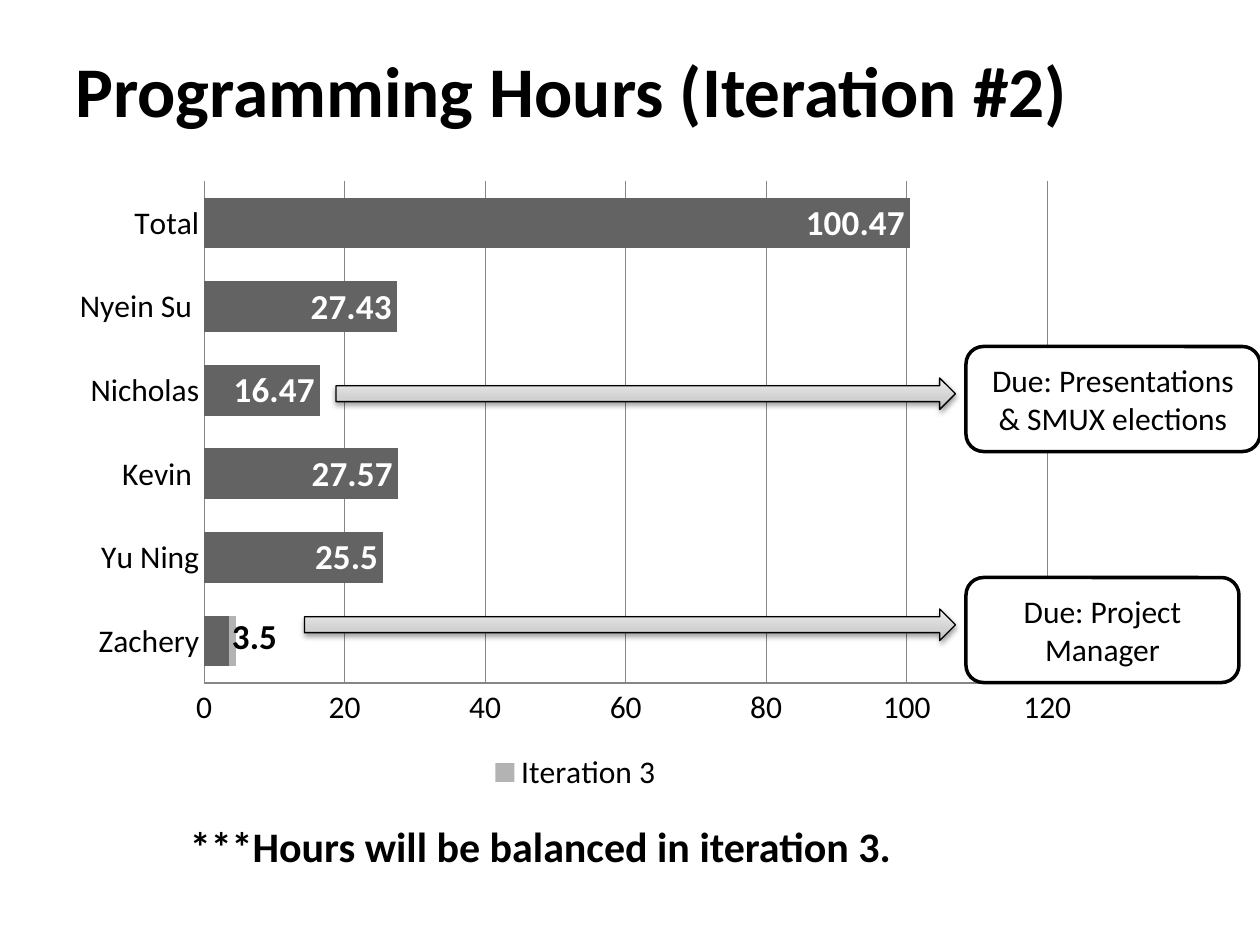
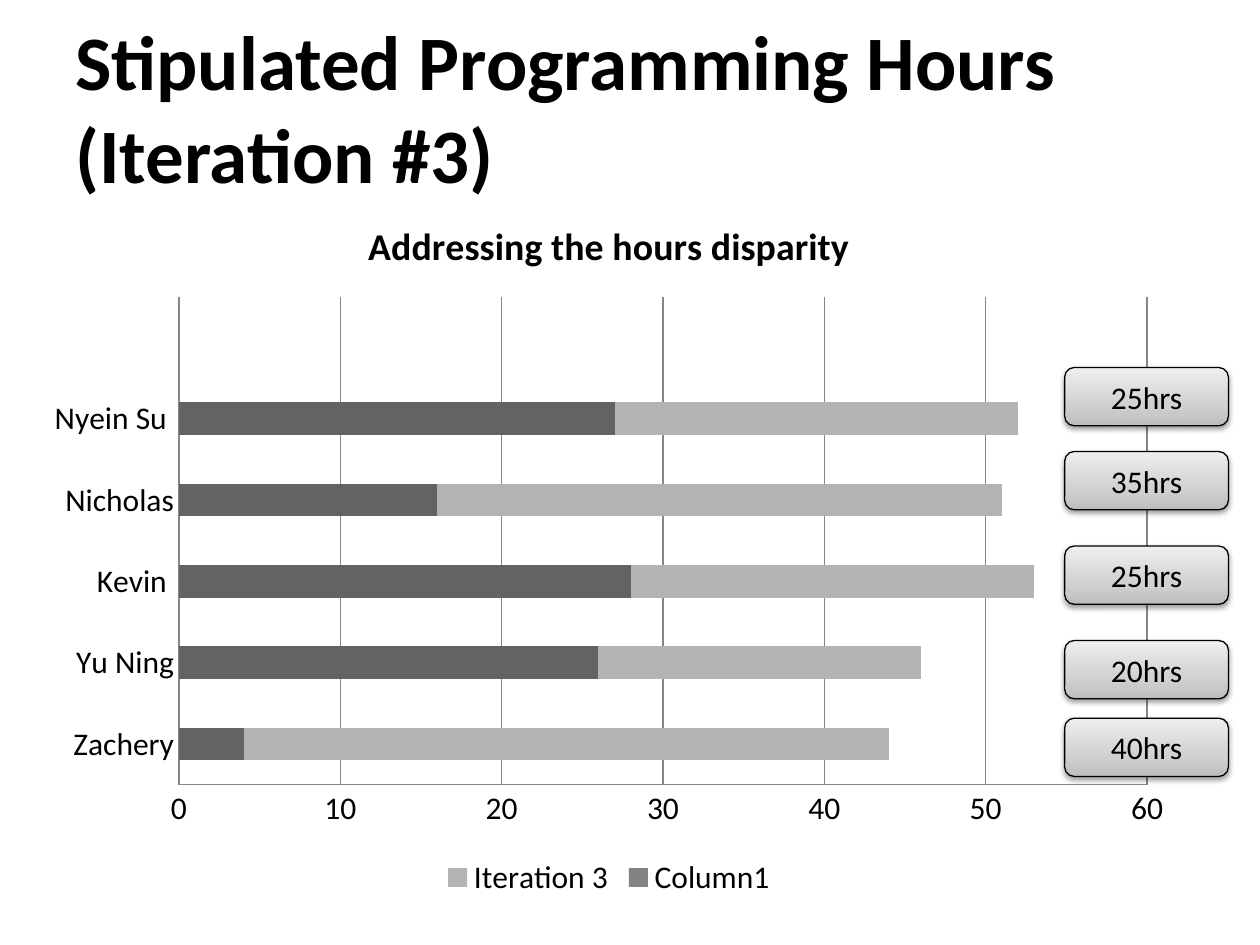
from copy import deepcopy
from dataclasses import dataclass

from pptx import Presentation
from pptx.chart.data import CategoryChartData
from pptx.dml.color import RGBColor
from pptx.enum.chart import XL_CHART_TYPE, XL_LABEL_POSITION, XL_LEGEND_POSITION, XL_TICK_MARK
from pptx.enum.shapes import MSO_SHAPE
from pptx.enum.text import MSO_ANCHOR, PP_ALIGN
from pptx.oxml import parse_xml
from pptx.oxml.ns import nsdecls, qn
from pptx.util import Inches, Pt


@dataclass(frozen=True)
class Theme:
    font: str = "Calibri"
    text: RGBColor = RGBColor(0, 0, 0)
    paper: RGBColor = RGBColor(255, 255, 255)
    grid: RGBColor = RGBColor.from_string("868686")
    bars: tuple = ("636363", "B3B3B3", "838383")
    gloss: tuple = ((0, "BDBDBD"), (0.35, "D1D1D1"), (1, "EEEEEE"))
    body: float = 18
    bar_label: float = 20
    chart_title: float = 21.6
    note: float = 24


theme = Theme()
presentation = Presentation()
presentation.slide_width, presentation.slide_height = Inches(10), Inches(7.5)
COLUMNS, ROWS = 120, 90


def cells(left, top, width, height):
    """Turn grid columns and rows into a position and size on the slide."""
    column = presentation.slide_width / COLUMNS
    row = presentation.slide_height / ROWS
    return int(left * column), int(top * row), int(width * column), int(height * row)


def write(shape, text, size, bold=False, alignment=PP_ALIGN.CENTER):
    shape.text_frame.text = text
    shape.text_frame.word_wrap = True
    shape.text_frame.vertical_anchor = MSO_ANCHOR.MIDDLE
    for paragraph in shape.text_frame.paragraphs:
        paragraph.alignment = alignment
        for run in paragraph.runs:
            run.font.name, run.font.size, run.font.bold = theme.font, Pt(size), bold
            run.font.color.rgb = theme.text


people = ["Zachery", "Yu Ning", "Kevin ", "Nicholas", "Nyein Su "]
hours = [3.5, 25.5, 27.57, 16.47, 27.43]
whole_hours = [round(value) for value in hours]
planned_hours = [40, 20, 25, 35, 25]

pages = [
    dict(title="Programming Hours (Iteration #2)", title_size=40.7, title_top=1,
         chart_cells=(5.6, 16, 98.4, 60), plot_cells=(19.45, 17.25, 80.3, 47.8),
         chart_title=None, categories=people + ["Total"],
         series=[("Programming Hours", hours + [100.47]),
                 ("Iteration 3", [1] + [None] * 5)],
         gap=65, maximum=120, step=20),
    dict(title="Stipulated Programming Hours\v(Iteration #3)", title_size=44, title_top=2.6,
         chart_cells=(3, 18.2, 110, 67.8), plot_cells=(17.05, 28.25, 92.2, 46.5),
         chart_title="Addressing the hours disparity", categories=people + [""],
         series=[("Iteration 2", whole_hours + [None]),
                 ("Iteration 3", planned_hours + [None]),
                 ("Column1", [None] * 6)],
         gap=150, maximum=60, step=10),
]

# Titles and stacked bar charts
slides, charts = [], []
for page in pages:
    slide = presentation.slides.add_slide(presentation.slide_layouts[6])
    title = slide.shapes.add_textbox(*cells(6, page["title_top"], 108, 15))
    write(title, page["title"], page["title_size"], True, PP_ALIGN.LEFT)

    chart_data = CategoryChartData()
    chart_data.categories = page["categories"]
    for name, values in page["series"]:
        chart_data.add_series(name, values)
    chart = slide.shapes.add_chart(
        XL_CHART_TYPE.BAR_STACKED, *cells(*page["chart_cells"]), chart_data).chart
    chart.font.name, chart.font.size = theme.font, Pt(theme.body)
    chart.font.color.rgb = theme.text

    chart.has_title = page["chart_title"] is not None
    if chart.has_title:
        chart.chart_title.text_frame.text = page["chart_title"]
        chart.chart_title.include_in_layout = False
        title_font = chart.chart_title.text_frame.paragraphs[0].runs[0].font
        title_font.name, title_font.size, title_font.bold = theme.font, Pt(theme.chart_title), True
        title_font.color.rgb = theme.text

    plot = chart.plots[0]
    plot.gap_width, plot.overlap, plot.vary_by_categories = page["gap"], 100, False
    for series, color in zip(plot.series, theme.bars):
        series.format.fill.solid()
        series.format.fill.fore_color.rgb = RGBColor.from_string(color)

    value_axis = chart.value_axis
    value_axis.minimum_scale, value_axis.maximum_scale = 0, page["maximum"]
    value_axis.major_unit = page["step"]
    value_axis.has_major_gridlines = True
    value_axis.major_gridlines.format.line.color.rgb = theme.grid
    for axis in (value_axis, chart.category_axis):
        axis.major_tick_mark = axis.minor_tick_mark = XL_TICK_MARK.NONE
        axis.format.line.color.rgb = theme.grid

    chart.has_legend = True
    chart.legend.position = XL_LEGEND_POSITION.BOTTOM
    chart.legend.include_in_layout = False
    hidden_entry = len(page["series"]) - 1
    chart.legend._element.insert(1, parse_xml(
        f'<c:legendEntry {nsdecls("c")}><c:idx val="{hidden_entry}"/>'
        '<c:delete val="1"/></c:legendEntry>'))

    # The plot's place is stored as shares of the chart's frame
    plot_area = chart._chartSpace.find(f'.//{qn("c:plotArea")}')
    for layout in plot_area.findall(qn("c:layout")):
        plot_area.remove(layout)
    chart_left, chart_top, chart_width, chart_height = page["chart_cells"]
    plot_left, plot_top, plot_width, plot_height = page["plot_cells"]
    plot_area.insert(0, parse_xml(
        f'<c:layout {nsdecls("c")}><c:manualLayout><c:layoutTarget val="inner"/>'
        '<c:xMode val="edge"/><c:yMode val="edge"/>'
        f'<c:x val="{(plot_left - chart_left) / chart_width}"/>'
        f'<c:y val="{(plot_top - chart_top) / chart_height}"/>'
        f'<c:w val="{plot_width / chart_width}"/><c:h val="{plot_height / chart_height}"/>'
        '</c:manualLayout></c:layout>'))
    slides.append(slide)
    charts.append(chart)

# Hours inside the bars; the shortest bar has its label beside it
hours_series = charts[0].plots[0].series[0]
bar_labels = hours_series.data_labels
bar_labels.show_value = True
short_bar_label = hours_series.points[0].data_label
for label, color in ((bar_labels, theme.paper), (short_bar_label, theme.text)):
    label.position = XL_LABEL_POSITION.INSIDE_END
    label.font.name, label.font.size, label.font.bold = theme.font, Pt(theme.bar_label), True
    label.font.color.rgb = color
chart_width, chart_height = pages[0]["chart_cells"][2:]
short_bar_element = bar_labels._element.find(qn("c:dLbl"))
short_bar_element.insert(1, parse_xml(
    f'<c:layout {nsdecls("c")}><c:manualLayout><c:x val="{5.1 / chart_width}"/>'
    f'<c:y val="{-0.35 / chart_height}"/></c:manualLayout></c:layout>'))

# Reasons for the short bars: an arrow leading to a callout
glossy_shapes = []
arrow_end, callout_left = 91, 92
for reason, arrow_left, callout_top, callout_width in (
        ("Due: Presentations & SMUX elections", 32, 33, 28),
        ("Due: Project Manager", 29, 55, 26)):
    arrow = slides[0].shapes.add_shape(
        MSO_SHAPE.RIGHT_ARROW,
        *cells(arrow_left, callout_top + 3, arrow_end - arrow_left, 3))
    glossy_shapes.append(arrow)
    callout = slides[0].shapes.add_shape(
        MSO_SHAPE.FLOWCHART_ALTERNATE_PROCESS,
        *cells(callout_left, callout_top, callout_width, 10))
    callout.shadow.inherit = False
    callout.fill.solid()
    callout.fill.fore_color.rgb = theme.paper
    callout.line.color.rgb, callout.line.width = theme.text, Pt(2)
    write(callout, reason, theme.body)

note = slides[0].shapes.add_shape(MSO_SHAPE.ROUNDED_RECTANGLE, *cells(10, 76, 83, 9))
note.shadow.inherit = False
note.fill.solid()
note.fill.fore_color.rgb = theme.paper
note.line.fill.background()
write(note, "***Hours will be balanced in iteration 3.", theme.note, True)

# Planned hours beside each bar, from the top bar down
for tag_top, planned in zip((35, 43, 52, 61, 68.4), reversed(planned_hours)):
    tag = slides[1].shapes.add_shape(
        MSO_SHAPE.ROUNDED_RECTANGLE, *cells(101.4, tag_top, 15.6, 5.55))
    write(tag, f"{planned}hrs", theme.body)
    glossy_shapes.append(tag)

for shape in glossy_shapes:
    shape.fill.gradient()
    shape.fill.gradient_angle = 90
    stop_list = shape._element.spPr.find(f'.//{qn("a:gsLst")}')
    stop_list.append(deepcopy(stop_list[-1]))
    for stop, (position, color) in zip(shape.fill.gradient_stops, theme.gloss):
        stop.position = position
        stop.color.rgb = RGBColor.from_string(color)
    shape.line.color.rgb, shape.line.width = theme.text, Pt(0.75)
    shape.shadow.inherit = False
    shape._element.spPr.find(qn("a:effectLst")).append(parse_xml(
        f'<a:outerShdw {nsdecls("a")} blurRad="40000" dist="20000" dir="5400000" '
        f'rotWithShape="0"><a:srgbClr val="{theme.text}"><a:alpha val="38000"/>'
        '</a:srgbClr></a:outerShdw>'))

presentation.save("out.pptx")
